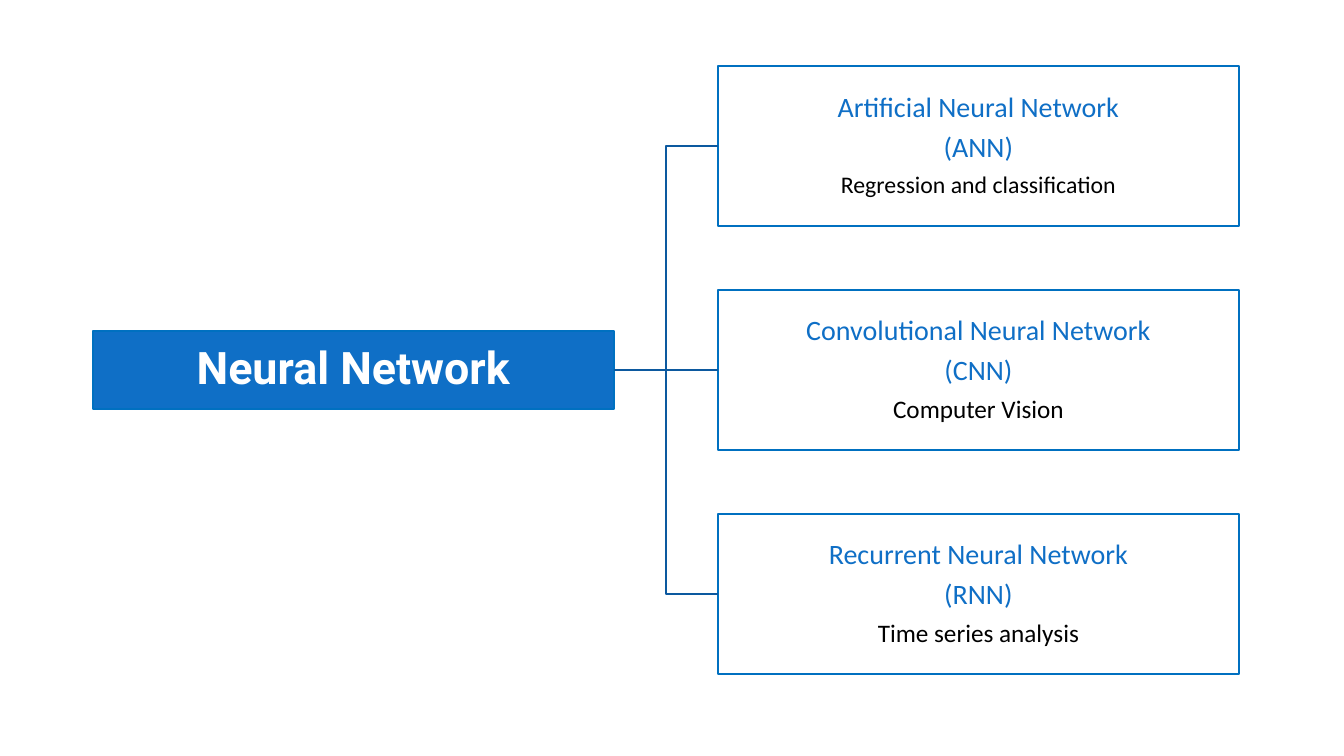
import pptx
import pptx.util
import pptx.dml.color
import pptx.enum.shapes
import pptx.enum.text
import pptx.oxml.ns
import lxml.etree

PX = 914400 / 100.8
COLORS = {"blue": "0F6FC6", "edge": "0070C0", "link": "0C599F",
          "white": "FFFFFF", "black": "000000"}


def px(count):
    """Turn pixels into EMU."""
    return pptx.util.Emu(round(count * PX))


def write(para, text, size, color, font="Calibri", bold=False):
    para.alignment = pptx.enum.text.PP_ALIGN.CENTER
    para.line_spacing = 0.9
    para.space_before = pptx.util.Pt(0)
    para.space_after = pptx.util.Pt(size * 0.35)
    run = para.add_run()
    run.text = text
    run.font.name = font
    run.font.size = pptx.util.Pt(size)
    run.font.bold = bold
    run.font.color.rgb = pptx.dml.color.RGBColor.from_string(COLORS[color])


deck = pptx.Presentation()
deck.slide_width, deck.slide_height = px(1344), px(756)
slide = deck.slides.add_slide(deck.slide_layouts[5])

# Root box
WIDTH = 521
root = slide.shapes.title
root.left, root.top, root.width, root.height = px(93), px(331), px(WIDTH), px(78)
root.fill.solid()
root.fill.fore_color.rgb = pptx.dml.color.RGBColor.from_string(COLORS["blue"])
write(root.text_frame.paragraphs[0], "Neural Network", size=32, color="white",
      font="Roboto", bold=True)

# Branch boxes, evenly spaced
kinds = [
    ("Artificial Neural Network", "(ANN)", "Regression and classification", 17),
    ("Convolutional Neural Network", "(CNN)", "Computer Vision", 18),
    ("Recurrent Neural Network", "(RNN)", "Time series analysis", 18),
]
boxes = []
for row, (name, short, use, size) in enumerate(kinds):
    box = slide.shapes.add_shape(pptx.enum.shapes.MSO_SHAPE.RECTANGLE,
                                 px(718), px(66 + 224 * row), px(WIDTH), px(160))
    box.shadow.inherit = False
    box.fill.background()
    frame = box.text_frame
    write(frame.paragraphs[0], name, size=20, color="blue")
    write(frame.add_paragraph(), short, size=20, color="blue")
    write(frame.add_paragraph(), use, size=size, color="black")
    boxes.append(box)

for box in [root, *boxes]:
    box.line.color.rgb = pptx.dml.color.RGBColor.from_string(COLORS["edge"])
    box.line.width = pptx.util.Pt(1)
    frame = box.text_frame
    frame.word_wrap = True
    frame.auto_size = pptx.enum.text.MSO_AUTO_SIZE.NONE
    frame.vertical_anchor = pptx.enum.text.MSO_ANCHOR.MIDDLE
    frame.margin_left = frame.margin_right = px(2)
    frame.margin_top = frame.margin_bottom = px(2)

# Links from the root to each branch
ELBOW = pptx.enum.shapes.MSO_CONNECTOR.ELBOW
STRAIGHT = pptx.enum.shapes.MSO_CONNECTOR.STRAIGHT
for box, style in zip(boxes, [ELBOW, STRAIGHT, ELBOW]):
    link = slide.shapes.add_connector(
        style, root.left + root.width, root.top + root.height // 2,
        box.left, box.top + box.height // 2)
    link.begin_connect(root, 3)
    link.end_connect(box, 1)
    link.line.color.rgb = pptx.dml.color.RGBColor.from_string(COLORS["link"])
    link.line.width = pptx.util.Pt(1)
    lxml.etree.SubElement(link._element.spPr, pptx.oxml.ns.qn("a:effectLst"))

deck.save("out.pptx")
